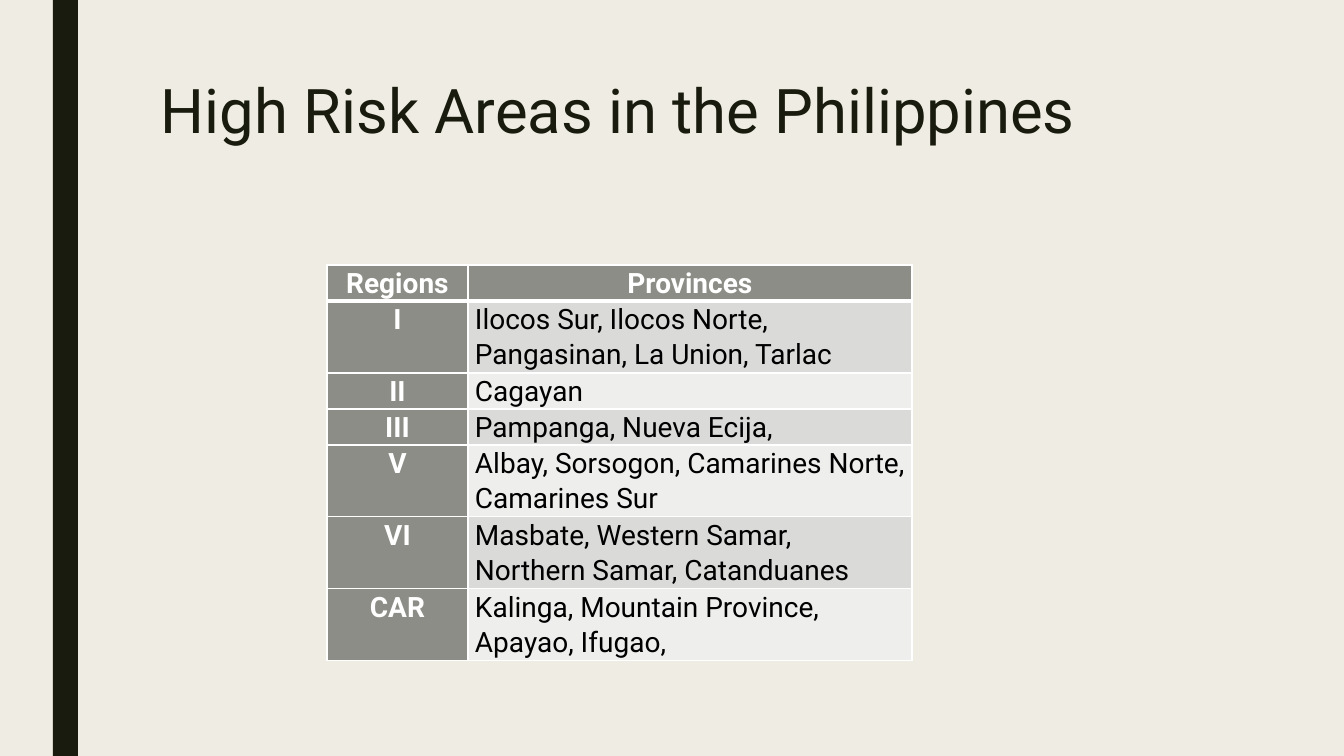
import pptx
import pptx.util
import pptx.dml.color
import pptx.enum.shapes
import pptx.enum.text
import pptx.oxml
import pptx.oxml.ns

RGB = pptx.dml.color.RGBColor
ALIGN = pptx.enum.text.PP_ALIGN

CREAM = RGB(0xEF, 0xED, 0xE3)
DARK = RGB(0x19, 0x1B, 0x0E)
GRAY = RGB(0x8C, 0x8D, 0x86)
BAND = RGB(0xDA, 0xDB, 0xD9)
PALE = RGB(0xEE, 0xEE, 0xED)
WHITE = RGB(0xFF, 0xFF, 0xFF)
BLACK = RGB(0, 0, 0)

HEAD = ("Regions", "Provinces")
AREAS = [
    ("I", "Ilocos Sur, Ilocos Norte, Pangasinan, La Union, Tarlac", 2),
    ("II", "Cagayan", 1),
    ("III", "Pampanga, Nueva Ecija,", 1),
    ("V", "Albay, Sorsogon, Camarines Norte, Camarines Sur", 2),
    ("VI", "Masbate, Western Samar, Northern Samar, Catanduanes", 2),
    ("CAR", "Kalinga, Mountain Province, Apayao, Ifugao,", 2),
]


def px(n):
    return round(n * 914400 / 100.8)


def write(frame, text, size=20, color=BLACK, bold=False, align=ALIGN.LEFT, space=1.07, font="Roboto"):
    para = frame.paragraphs[0]
    para.alignment = align
    para.line_spacing = space
    run = para.add_run()
    run.text = text
    run.font.name = font
    run.font.size = pptx.util.Pt(size)
    run.font.bold = bold
    run.font.color.rgb = color


class Deck:
    def __init__(self, wide, high, back):
        self.show = pptx.Presentation()
        self.show.slide_width = px(wide)
        self.show.slide_height = px(high)
        self.slide = self.show.slides.add_slide(self.show.slide_layouts[6])
        fill = self.slide.background.fill
        fill.solid()
        fill.fore_color.rgb = back

    def bar(self, x, y, w, h, color):
        kind = pptx.enum.shapes.MSO_SHAPE.RECTANGLE
        shape = self.slide.shapes.add_shape(kind, px(x), px(y), px(w), px(h))
        shape.shadow.inherit = False
        shape.fill.solid()
        shape.fill.fore_color.rgb = color
        shape.line.fill.background()

    def label(self, x, y, w, h, text, **style):
        frame = self.slide.shapes.add_textbox(px(x), px(y), px(w), px(h)).text_frame
        frame.word_wrap = True
        write(frame, text, **style)

    def edge(self, cell, side, width):
        space = pptx.oxml.ns.nsdecls("a")
        line = pptx.oxml.parse_xml(
            f'<a:ln{side} {space} w="{pptx.util.Pt(width)}"><a:solidFill>'
            f'<a:srgbClr val="{WHITE}"/></a:solidFill></a:ln{side}>')
        cell._tc.get_or_add_tcPr().append(line)

    def cell(self, cell, text, fill, top, base, **style):
        cell.margin_left = cell.margin_right = px(7)
        cell.margin_top = cell.margin_bottom = 0
        for side, width in (("L", 1), ("R", 1), ("T", top), ("B", base)):
            self.edge(cell, side, width)
        cell.fill.solid()
        cell.fill.fore_color.rgb = fill
        write(cell.text_frame, text, **style)

    def table(self, x, y, cols, step, head, areas):
        rows = [(*head, 1), *areas]
        high = step * sum(row[2] for row in rows)
        grid = self.slide.shapes.add_table(
            len(rows), len(cols), px(x), px(y), px(sum(cols)), px(high)).table
        for col, wide in zip(grid.columns, cols):
            col.width = px(wide)
        strong = dict(color=WHITE, bold=True, align=ALIGN.CENTER)
        for r, (area, names, lines) in enumerate(rows):
            grid.rows[r].height = px(step * lines)
            top = 3 if r == 1 else 1
            base = 3 if r == 0 else 1
            self.cell(grid.cell(r, 0), area, GRAY, top, base, **strong)
            fill = GRAY if r == 0 else BAND if r % 2 else PALE
            style = strong if r == 0 else {}
            self.cell(grid.cell(r, 1), names, fill, top, base, **style)


def main():
    deck = Deck(1344, 756, CREAM)
    deck.bar(53, 0, 25, 756, DARK)
    deck.label(151, 76, 1058, 163, "High Risk Areas in the Philippines",
               size=44, color=DARK, space=0.89)
    deck.table(327, 265, (141, 444), 35, HEAD, AREAS)
    deck.show.save("out.pptx")


if __name__ == "__main__":
    main()
